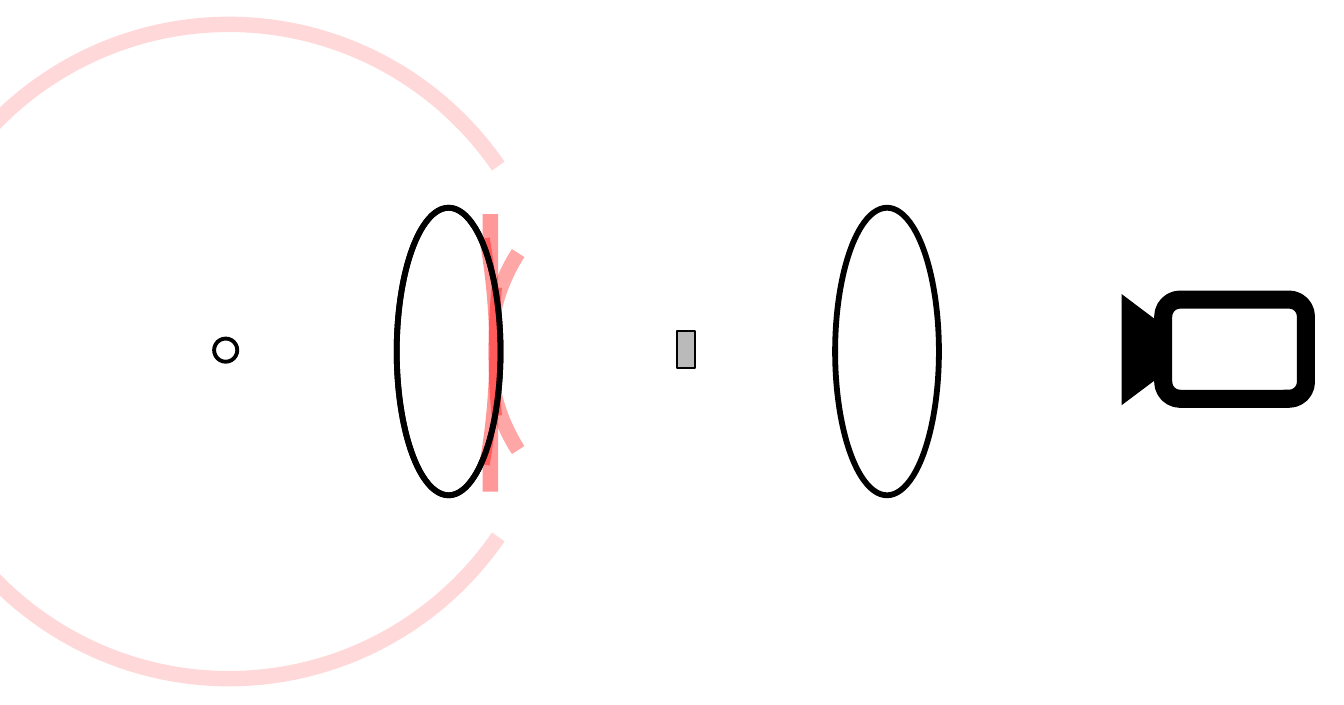
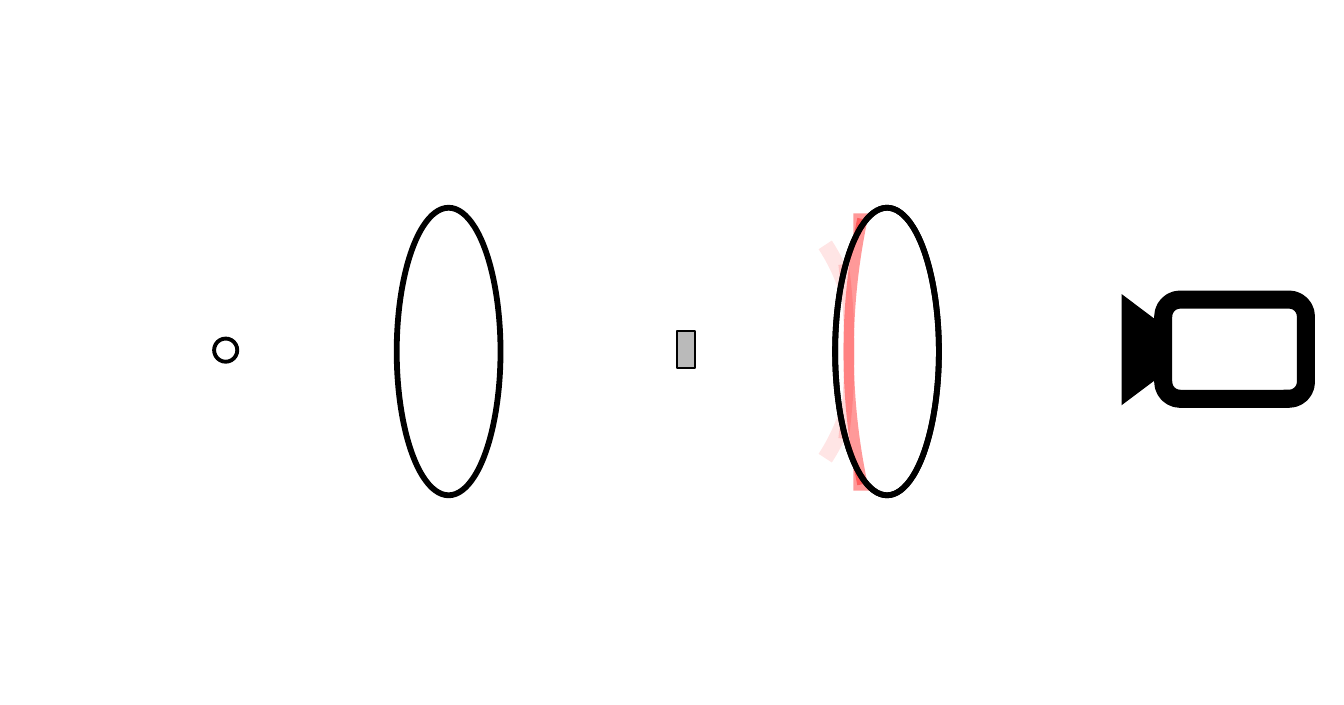
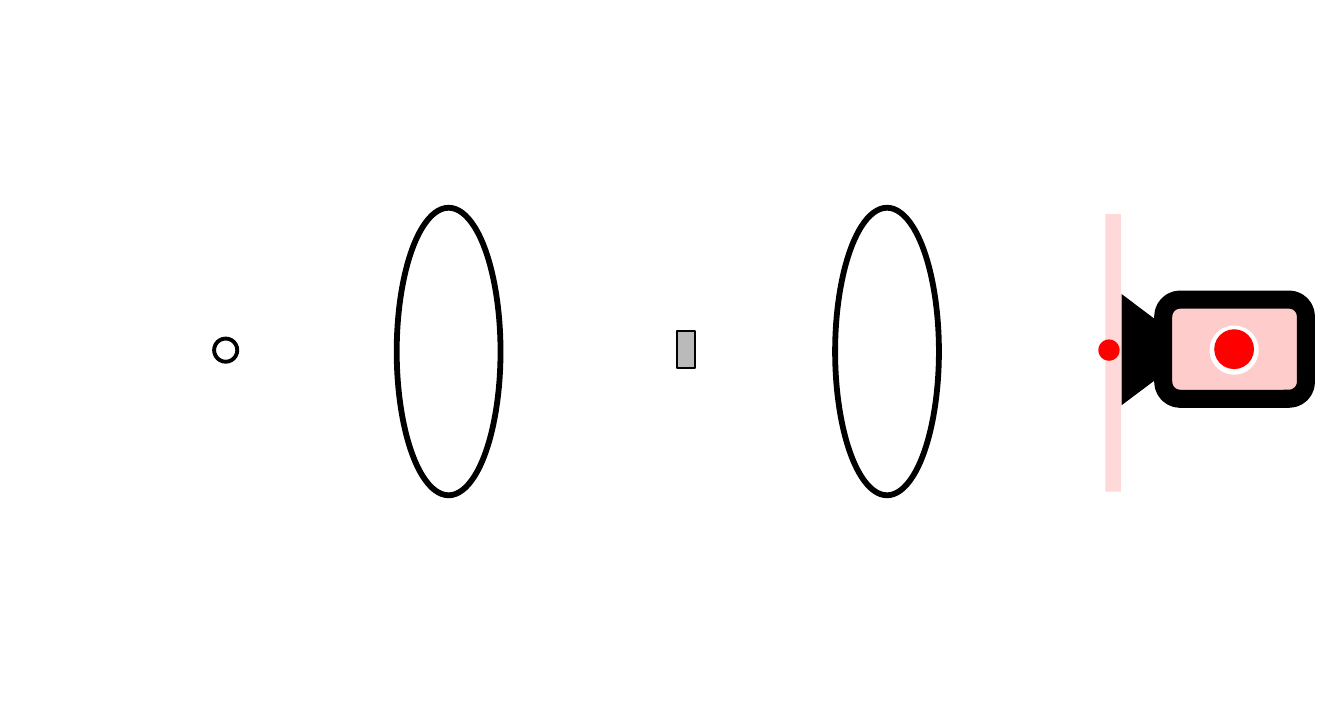
from lxml.etree import SubElement
from pptx import Presentation
from pptx.dml.color import RGBColor
from pptx.enum.shapes import MSO_CONNECTOR, MSO_SHAPE
from pptx.oxml.ns import qn
from pptx.util import Emu, Pt

PX = 9144
SLIDE_WIDTH, SLIDE_HEIGHT = Emu(13258800), Emu(6950075)
COLORS = {"wave": "FF0000", "ink": "000000", "paper": "FFFFFF"}
LEFT_LENS, RIGHT_LENS = 428, 901
AXIS = 379
ARC_MIDDLE = 162


def rgb(name):
    """Return the named colour."""
    return RGBColor.from_string(COLORS[name])


def set_opacity(shape, percent):
    """Make the colours set so far on a shape partly transparent."""
    for color in shape.element.iter(qn("a:srgbClr")):
        SubElement(color, qn("a:alpha"), val=str(percent * 1000))


def style(shape, fill=None, opacity=100, line=None, width=1):
    """Give a shape its fill, opacity and outline."""
    shape.shadow.inherit = False
    if fill:
        shape.fill.solid()
        shape.fill.fore_color.rgb = rgb(fill)
        if opacity < 100:
            set_opacity(shape, opacity)
    else:
        shape.fill.background()
    if line:
        shape.line.color.rgb = rgb(line)
        shape.line.width = Pt(width)
    else:
        shape.line.fill.background()


def add_preset(s, kind, x, y, w, h, adjust=(), rotation=0, **look):
    """Add a styled preset shape."""
    shape = s.shapes.add_shape(kind, x * PX, y * PX, w * PX, h * PX)
    for i, value in enumerate(adjust):
        shape.adjustments[i] = value
    shape.rotation = rotation
    style(shape, **look)


def add_circle(s, x, y, size, **look):
    """Add a styled circle."""
    add_preset(s, MSO_SHAPE.OVAL, x, y, size, size, **look)


def add_polygon(s, points, fill):
    """Add a closed filled outline."""
    builder = s.shapes.build_freeform(*points[0], scale=PX)
    builder.add_line_segments(points[1:], close=True)
    style(builder.convert_to_shape(), fill=fill)


def add_flat_wave(s, x, top, opacity):
    """Add a straight vertical wavefront."""
    c = s.shapes.add_connector(MSO_CONNECTOR.STRAIGHT,
                               x * PX, top * PX, x * PX, (top + 299) * PX)
    c.line.color.rgb = rgb("wave")
    c.line.width = Pt(12)
    set_opacity(c, opacity)
    SubElement(c.element.spPr, qn("a:effectLst"))


def add_curved_wave(s, x, size, half_span, thickness, opacity, bulge="right"):
    """Add a curved wavefront whose outermost point lies at x."""
    left = x - size if bulge == "right" else x
    add_preset(s, MSO_SHAPE.BLOCK_ARC, left, AXIS - size // 2, size, size,
               adjust=(ARC_MIDDLE - half_span, ARC_MIDDLE + half_span, thickness),
               rotation=90 if bulge == "right" else 270,
               fill="wave", opacity=opacity)


def add_lens(s, x, fill="paper"):
    """Add a lens, or only its outline when fill is None."""
    add_preset(s, MSO_SHAPE.OVAL, x, 224, 112, 310,
               fill=fill, line="ink", width=4.5)


def add_bench(s, screen="paper", opacity=100):
    """Add the point source, the sample and the camera."""
    add_circle(s, 231, 365, 25, line="ink", width=3)
    add_polygon(s, [(1210, 437), (1210, 317), (1250, 347), (1250, 407)], "ink")
    add_preset(s, MSO_SHAPE.ROUNDED_RECTANGLE, 1255, 323, 154, 107,
               adjust=(0.17,), fill=screen, opacity=opacity, line="ink", width=14)
    add_preset(s, MSO_SHAPE.RECTANGLE, 730, 357, 20, 40,
               fill="ink", opacity=27, line="ink", width=1.5)


def build_first_lens(s):
    """Show the waves meeting the first lens."""
    add_preset(s, MSO_SHAPE.DONUT, -114, 18, 722, 722,
               adjust=(0.023,), fill="wave", opacity=15)
    add_polygon(s, [(1164, -261), (1164, 1019), (474, 534), (474, 224)], "paper")
    add_flat_wave(s, 529, 231, 40)
    add_curved_wave(s, 520, 410, 19.57, 0.039, 35, bulge="left")
    add_lens(s, LEFT_LENS)
    add_curved_wave(s, 539, 1400, 6.07, 0.008, 40)
    add_curved_wave(s, 527, 1400, 3.43, 0.008, 40, bulge="left")
    add_lens(s, LEFT_LENS, fill=None)
    add_lens(s, RIGHT_LENS)
    add_bench(s)


def build_second_lens(s):
    """Show the waves meeting the second lens."""
    add_lens(s, LEFT_LENS)
    add_flat_wave(s, 929, 230, 40)
    add_curved_wave(s, 933, 438, 19.87, 0.039, 10)
    add_lens(s, RIGHT_LENS)
    add_curved_wave(s, 910, 1400, 7.13, 0.008, 40, bulge="left")
    add_curved_wave(s, 922, 1400, 4.67, 0.008, 15)
    add_lens(s, RIGHT_LENS, fill=None)
    add_bench(s)


def build_camera_view(s):
    """Show the flat wave and the spot reaching the camera."""
    add_lens(s, LEFT_LENS)
    add_lens(s, RIGHT_LENS)
    add_bench(s, screen="wave", opacity=20)
    add_circle(s, 1185, 366, 23, fill="wave")
    add_circle(s, 1305, 351, 53, fill="paper")
    add_circle(s, 1310, 355, 43, fill="wave")
    add_flat_wave(s, 1201, 231, 15)


def main():
    """Build and save the presentation."""
    prs = Presentation()
    prs.slide_width, prs.slide_height = SLIDE_WIDTH, SLIDE_HEIGHT
    for build in (build_first_lens, build_second_lens, build_camera_view):
        build(prs.slides.add_slide(prs.slide_layouts[6]))
    prs.save("out.pptx")


if __name__ == "__main__":
    main()
